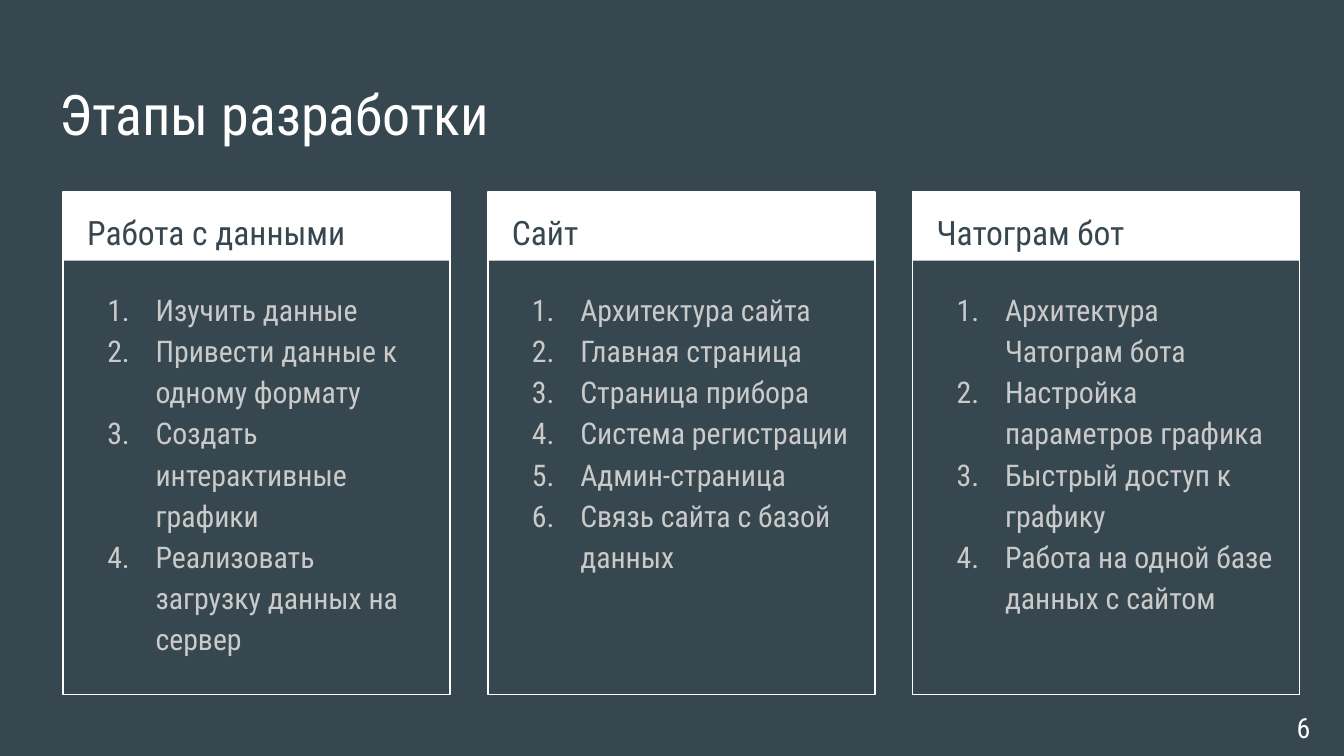
from lxml import etree
from pptx import Presentation
from pptx import util as u
from pptx.dml.color import RGBColor
from pptx.enum import shapes, text
from pptx.oxml import ns

WIDTH = 10
HEIGHT = WIDTH * 9 / 16
SLATE = RGBColor(0x37, 0x47, 0x4F)
WHITE = RGBColor(0xFF, 0xFF, 0xFF)
SILVER = RGBColor(0xCA, 0xCA, 0xCA)
FONT = "Roboto Condensed"
INSET = 0.1
CARD_LEFT, CARD_TOP, CARD_WIDTH, CARD_HEIGHT = 0.47, 1.43, 2.88, 3.74
CARD_STEP = 3.16
HEADER_HEIGHT = 0.51

STAGES = [
    ("Работа с данными", [
        "Изучить данные",
        "Привести данные к одному формату",
        "Создать интерактивные графики",
        "Реализовать загрузку данных на сервер",
    ]),
    ("Сайт", [
        "Архитектура сайта",
        "Главная страница",
        "Страница прибора",
        "Система регистрации",
        "Админ-страница",
        "Связь сайта с базой данных",
    ]),
    ("Чатограм бот", [
        "Архитектура Чатограм бота",
        "Настройка параметров графика",
        "Быстрый доступ к графику",
        "Работа на одной базе данных с сайтом",
    ]),
]


def inches(*lengths):
    """Convert plain numbers to inch lengths."""
    return [u.Inches(length) for length in lengths]


def set_values(target, values):
    """Set every attribute listed in a dict of format values."""
    for name, value in values.items():
        setattr(target, name, value)


def number_paragraph(para, color):
    """Give a paragraph an automatic number and a hanging indent."""
    properties = para._p.get_or_add_pPr()
    properties.set("marL", str(u.Inches(0.5)))
    properties.set("indent", str(u.Inches(-0.36)))
    bullet_color = etree.SubElement(properties, ns.qn("a:buClr"))
    etree.SubElement(bullet_color, ns.qn("a:srgbClr"), val=str(color))
    etree.SubElement(properties, ns.qn("a:buAutoNum"), type="arabicPeriod")


def write_text(box, lines, size, color, numbered=False, spacing=1.0,
               align=text.PP_ALIGN.LEFT, anchor=text.MSO_ANCHOR.TOP):
    """Fill a box with one formatted paragraph per line."""
    frame = box.text_frame
    margins = {f"margin_{side}": u.Inches(INSET)
               for side in ("left", "top", "right", "bottom")}
    set_values(frame, {**margins, "word_wrap": True, "vertical_anchor": anchor,
                       "auto_size": text.MSO_AUTO_SIZE.NONE})
    for index, line in enumerate(lines):
        para = frame.add_paragraph() if index else frame.paragraphs[0]
        if numbered:
            number_paragraph(para, color)
        set_values(para, {"alignment": align, "line_spacing": spacing,
                          "space_before": u.Pt(0)})
        span = para.add_run()
        span.text = line
        set_values(span.font, {"name": FONT, "size": u.Pt(size)})
        span.font.color.rgb = color


def add_panel(page, left, top, width, height, filled):
    """Add a white rectangle, either filled or outlined."""
    panel = page.shapes.add_shape(shapes.MSO_SHAPE.RECTANGLE,
                                  *inches(left, top, width, height))
    panel.shadow.inherit = False
    if filled:
        panel.fill.solid()
        panel.fill.fore_color.rgb = WHITE
        panel.line.fill.background()
    else:
        panel.fill.background()
        panel.line.color.rgb = WHITE
        panel.line.width = u.Pt(0.75)


def add_title(page, left, top, width, height):
    """Place and format the title placeholder."""
    title = page.shapes.title
    names = ("left", "top", "width", "height")
    set_values(title, dict(zip(names, inches(left, top, width, height))))
    write_text(title, ["Этапы разработки"], 30, WHITE)


def add_card(page, left, top, width, height, heading, steps):
    """Build one stage card with a header band and numbered steps."""
    add_panel(page, left, top, width, HEADER_HEIGHT, filled=True)
    add_panel(page, left, top, width, height, filled=False)
    pad = 0.08
    header = page.shapes.add_textbox(
        *inches(left + pad, top, width - 2 * pad, HEADER_HEIGHT - 0.01))
    write_text(header, [heading], 18, SLATE, spacing=1.15)
    pad = 0.09
    body_top = HEADER_HEIGHT + pad
    body = page.shapes.add_textbox(
        *inches(left + pad, top + body_top, width - 2 * pad,
                height - body_top - pad))
    write_text(body, steps, 16, SILVER, numbered=True, spacing=1.15)


def add_page_number(page, left, top, width, height):
    """Write the page number in the corner."""
    box = page.shapes.add_textbox(*inches(left, top, width, height))
    write_text(box, ["6"], 15, WHITE, align=text.PP_ALIGN.CENTER,
               anchor=text.MSO_ANCHOR.MIDDLE)


def main():
    """Build the slide and save the deck."""
    deck = Presentation()
    deck.slide_width, deck.slide_height = inches(WIDTH, HEIGHT)
    page = deck.slides.add_slide(deck.slide_layouts[5])
    page.background.fill.solid()
    page.background.fill.fore_color.rgb = SLATE
    add_title(page, 0.34, 0.49, WIDTH - 2 * 0.34, 0.63)
    for column, (heading, steps) in enumerate(STAGES):
        add_card(page, CARD_LEFT + column * CARD_STEP, CARD_TOP,
                 CARD_WIDTH, CARD_HEIGHT, heading, steps)
    add_page_number(page, WIDTH - 0.6, HEIGHT - 0.43, 0.6, 0.43)
    deck.save("out.pptx")


if __name__ == "__main__":
    main()
